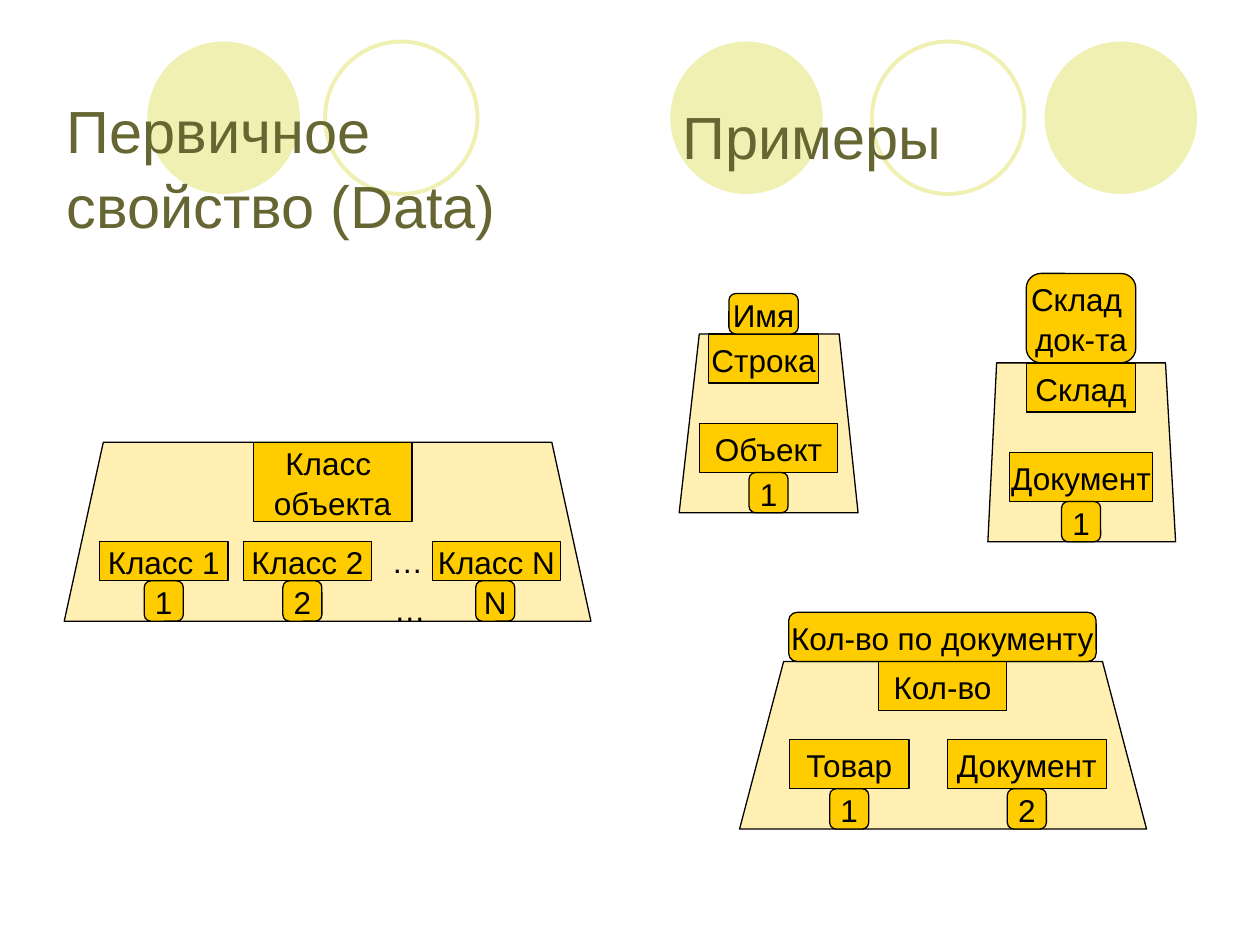
import pptx
import pptx.util
import pptx.dml.color
import pptx.enum.shapes
import pptx.enum.text
import pptx.oxml
from lxml import etree
from pptx.util import Inches

THEME = {
    "font": "Arial",
    "title_size": 34,
    "body_size": 18,
    "title": "666633",
    "text": "000000",
    "box": "FFCC00",
    "circle": "EFF0B2",
    "opacity": "30000",
    "outline": 0.75,
    "circle_outline": 2.25,
    "line_spacing": 1.05,
}

# (left, filled)
CIRCLES = [(5.32, True), (8.29, True), (1.17, True), (6.92, False), (2.58, False)]
CIRCLE_TOP, CIRCLE_SIZE = 0.33, 1.21

TITLE = ("Первичное свойство (Data)", (0.43, 0.69, 4.41, 1.25))
EXAMPLES_TITLE = ("Примеры", (5.32, 0.44, 4.41, 1.25))

# frame: bottom left, bottom right, top left, top right, top, bottom
# tag and result: lines, width, height; both centred on "axis"
# sources: text, centre, width, badge, badge centre
DIAGRAMS = [
    {"frame": (0.51, 4.69, 0.82, 4.38, 3.51, 4.93), "axis": 2.64,
     "result": (["Класс ", "объекта"], 1.26, 0.63), "tag": None, "source_height": 0.31,
     "sources": [("Класс 1", 1.3, 1.02, "1", 1.3), ("Класс 2", 2.44, 1.02, "2", 2.4),
                 ("Класс N", 3.94, 1.02, "N", 3.93)]},
    {"frame": (7.84, 9.33, 7.91, 9.25, 2.88, 4.3), "axis": 8.58,
     "result": (["Склад"], 0.87, 0.39), "tag": (["Склад ", "док-та"], 0.87, 0.71),
     "source_height": 0.39, "sources": [("Документ", 8.58, 1.14, "1", 8.58)]},
    {"frame": (5.39, 6.81, 5.55, 6.66, 2.65, 4.07), "axis": 6.06,
     "result": (["Строка"], 0.87, 0.39), "tag": (["Имя"], 0.55, 0.32),
     "source_height": 0.39, "sources": [("Объект", 6.1, 1.1, "1", 6.1)]},
    {"frame": (5.87, 9.1, 6.22, 8.75, 5.25, 6.58), "axis": 7.48,
     "result": (["Кол-во"], 1.02, 0.39), "tag": (["Кол-во по документу"], 2.44, 0.39),
     "source_height": 0.39,
     "sources": [("Товар", 6.74, 0.95, "1", 6.74), ("Документ", 8.15, 1.26, "2", 8.15)]},
]
BADGE_WIDTH, BADGE_HEIGHT = 0.31, 0.32

ELLIPSES = [(3.01, 4.24, 0.45, 0.4), (3.03, 4.62, 0.45, 0.4)]

SHAPE = pptx.enum.shapes.MSO_SHAPE
ALIGN = pptx.enum.text.PP_ALIGN
ANCHOR = pptx.enum.text.MSO_ANCHOR


def color(name):
    return pptx.dml.color.RGBColor.from_string(THEME[name])


def write(shape, lines, size="body_size", ink="text", align=ALIGN.LEFT,
          anchor=ANCHOR.MIDDLE, wrap=False):
    frame = shape.text_frame
    frame.word_wrap = wrap
    frame.vertical_anchor = anchor
    frame.margin_left = frame.margin_right = Inches(0.1)
    frame.margin_top = frame.margin_bottom = Inches(0.05)
    for index, line in enumerate(lines):
        paragraph = frame.add_paragraph() if index else frame.paragraphs[0]
        paragraph.alignment = align
        paragraph.line_spacing = THEME["line_spacing"]
        run = paragraph.add_run()
        run.text = line
        run.font.name = THEME["font"]
        run.font.size = pptx.util.Pt(THEME[size])
        run.font.color.rgb = color(ink)


def paint(shape, fill, line, width):
    """Set fill and line from theme names; None means no paint."""
    shape.shadow.inherit = False
    if fill:
        shape.fill.solid()
        shape.fill.fore_color.rgb = color(fill)
    else:
        shape.fill.background()
    if line:
        shape.line.color.rgb = color(line)
        shape.line.width = pptx.util.Pt(THEME[width])
    else:
        shape.line.fill.background()


def add_circle(slide, left, filled):
    shape = slide.shapes.add_shape(SHAPE.OVAL, *map(
        Inches, (left, CIRCLE_TOP, CIRCLE_SIZE, CIRCLE_SIZE)))
    paint(shape, "circle" if filled else None, None if filled else "circle", "circle_outline")


def add_box(slide, kind, lines, center, top, width, height):
    shape = slide.shapes.add_shape(
        kind, *map(Inches, (center - width / 2, top, width, height)))
    paint(shape, "box", "text", "outline")
    write(shape, lines, align=ALIGN.CENTER)


def add_frame(slide, left, right, top_left, top_right, top, bottom):
    corners = [(left, bottom), (right, bottom), (top_right, top), (top_left, top)]
    points = [(Inches(x), Inches(y)) for x, y in corners]
    builder = slide.shapes.build_freeform(*points[0], scale=1.0)
    builder.add_line_segments(points[1:], close=True)
    shape = builder.convert_to_shape()
    paint(shape, "box", "text", "outline")
    fill = shape.element.spPr.find(pptx.oxml.ns.qn("a:solidFill"))
    etree.SubElement(fill[0], pptx.oxml.ns.qn("a:alpha"), val=THEME["opacity"])


def add_diagram(slide, diagram):
    add_frame(slide, *diagram["frame"])
    top, bottom = diagram["frame"][4:]
    axis = diagram["axis"]
    lines, width, height = diagram["result"]
    add_box(slide, SHAPE.RECTANGLE, lines, axis, top, width, height)
    if diagram["tag"]:
        lines, width, height = diagram["tag"]
        add_box(slide, SHAPE.ROUNDED_RECTANGLE, lines, axis, top - height, width, height)
    badge_top = bottom - BADGE_HEIGHT
    height = diagram["source_height"]
    for text, center, width, badge, badge_center in diagram["sources"]:
        add_box(slide, SHAPE.RECTANGLE, [text], center, badge_top - height, width, height)
        add_box(slide, SHAPE.ROUNDED_RECTANGLE, [badge], badge_center, badge_top,
                BADGE_WIDTH, BADGE_HEIGHT)


def main():
    presentation = pptx.Presentation()
    presentation.slide_width = Inches(10)
    presentation.slide_height = Inches(7.5)
    slide = presentation.slides.add_slide(presentation.slide_layouts[5])

    for left, filled in CIRCLES:
        add_circle(slide, left, filled)
    for diagram in DIAGRAMS:
        add_diagram(slide, diagram)
    for place in ELLIPSES:
        write(slide.shapes.add_textbox(*map(Inches, place)), ["…"], anchor=ANCHOR.TOP)

    title = slide.shapes.title
    text, place = TITLE
    title.left, title.top, title.width, title.height = map(Inches, place)
    write(title, [text], "title_size", "title", wrap=True)
    slide.shapes.element.append(title.element)  # bring in front of the circles

    text, place = EXAMPLES_TITLE
    examples = slide.shapes.add_textbox(*map(Inches, place))
    write(examples, [text], "title_size", "title", wrap=True)

    presentation.save("out.pptx")


if __name__ == "__main__":
    main()
